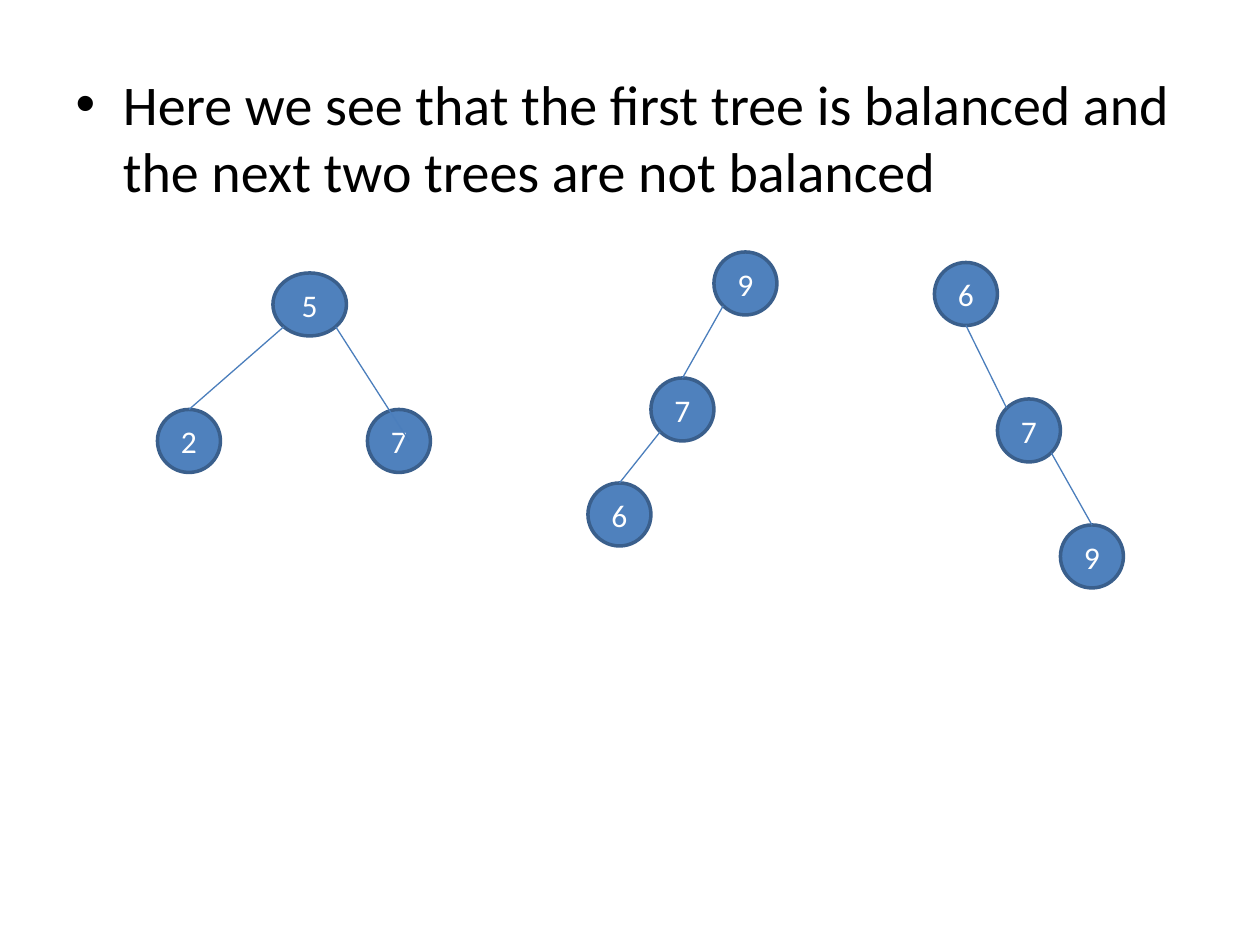
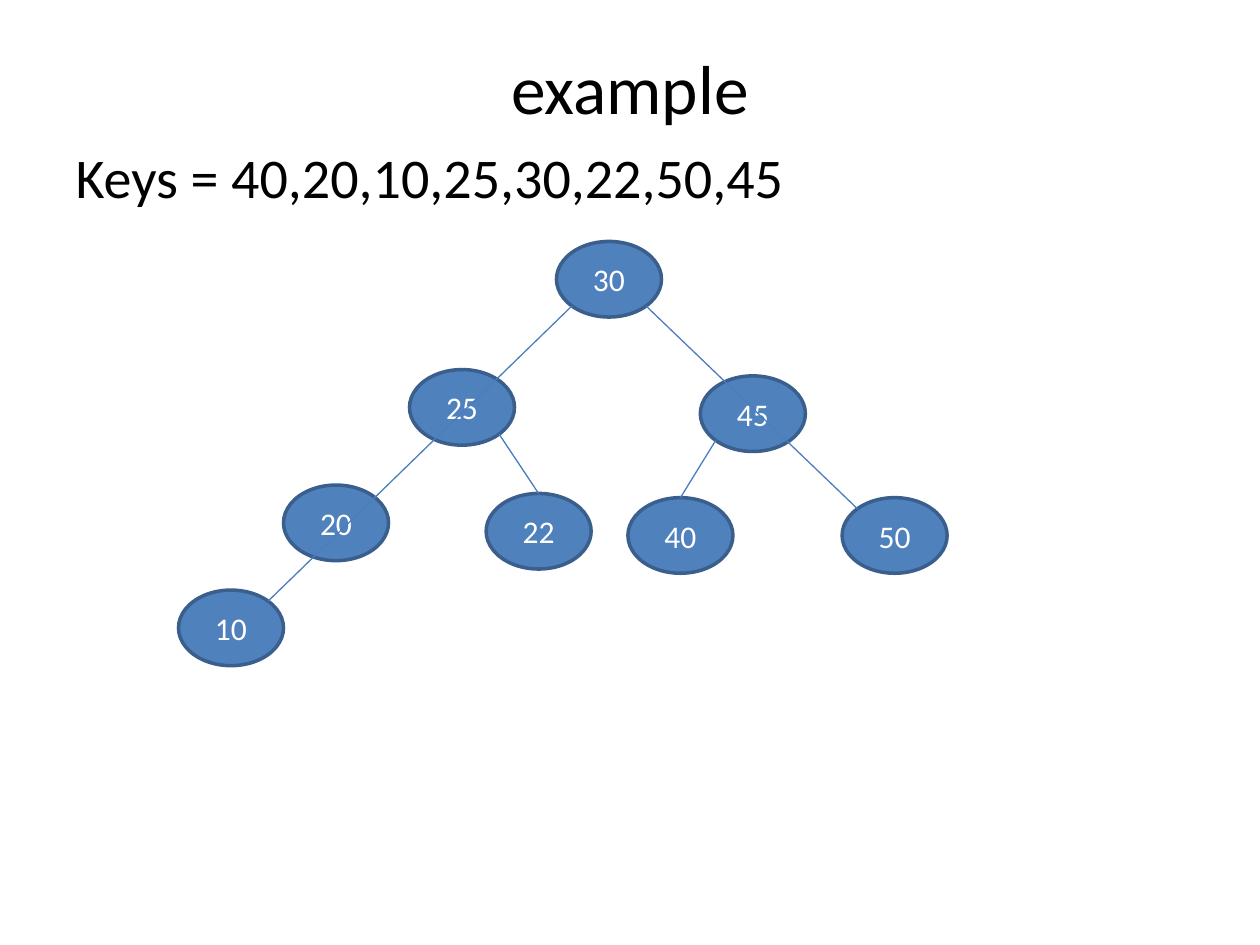
"""Builds two slides that compare balanced and unbalanced binary search trees."""
from dataclasses import dataclass
from math import sqrt

from lxml.etree import SubElement
from pptx import Presentation
from pptx.dml.color import RGBColor
from pptx.enum.shapes import MSO_CONNECTOR as Connector, MSO_SHAPE as Shape
from pptx.enum.text import MSO_ANCHOR as Anchor, PP_ALIGN as Align
from pptx.oxml.ns import qn
from pptx.util import Inches, Pt

SLIDE_WIDTH, SLIDE_HEIGHT = Inches(10), Inches(7.5)
COLUMNS, ROWS = 120, 90
MARGIN, CONTENT_COLUMNS, CONTENT_BOTTOM = 6, 108, 80.4
DIAGONAL = sqrt(0.5) / 2
SITES = {
    "top": (0, -0.5),
    "bottom": (0, 0.5),
    "top left": (-DIAGONAL, -DIAGONAL),
    "top right": (DIAGONAL, -DIAGONAL),
    "bottom left": (-DIAGONAL, DIAGONAL),
    "bottom right": (DIAGONAL, DIAGONAL),
    "inside": (0.16, 0),
}


@dataclass(frozen=True)
class Theme:
    """Colours and type sizes shared by the slides."""
    font: str = "Calibri"
    text: RGBColor = RGBColor(0x00, 0x00, 0x00)
    node_fill: RGBColor = RGBColor(0x4F, 0x81, 0xBD)
    node_line: RGBColor = RGBColor(0x3A, 0x5F, 0x8C)
    node_text: RGBColor = RGBColor(0xFF, 0xFF, 0xFF)
    edge: RGBColor = RGBColor(0x4B, 0x7E, 0xBC)
    title_size: float = 39.6
    body_size: float = 32
    node_size: float = 18
    node_line_width: float = 2
    edge_width: float = 0.75


THEME = Theme()


def across(columns):
    """Return the length of a number of grid columns."""
    return round(SLIDE_WIDTH * columns / COLUMNS)


def down(rows):
    """Return the length of a number of grid rows."""
    return round(SLIDE_HEIGHT * rows / ROWS)


def style_paragraph(paragraph, size, color):
    """Set the font of a whole paragraph."""
    font = paragraph.font
    font.name, font.size, font.color.rgb = THEME.font, Pt(size), color


def fill_placeholder(shape, text, top, bottom, size):
    """Place a placeholder across the content width and write its text."""
    shape.left, shape.top = across(MARGIN), down(top)
    shape.width, shape.height = across(CONTENT_COLUMNS), down(bottom - top)
    shape.text_frame.text = text
    paragraph = shape.text_frame.paragraphs[0]
    paragraph.space_before = Pt(0)
    return paragraph, size


def add_content_slide(presentation, body, body_top, title=None, bulleted=True):
    """Add a slide with body text and, if given, a title."""
    slide = presentation.slides.add_slide(presentation.slide_layouts[1])
    title_shape, body_shape = slide.placeholders
    if title:
        paragraph, size = fill_placeholder(title_shape, title, 3.6, body_top, THEME.title_size)
        style_paragraph(paragraph, size, THEME.text)
    else:
        title_shape.element.getparent().remove(title_shape.element)
    paragraph, size = fill_placeholder(body_shape, body, body_top, CONTENT_BOTTOM, THEME.body_size)
    if not bulleted:
        SubElement(paragraph._p.get_or_add_pPr(), qn("a:buNone"))
    style_paragraph(paragraph, size, THEME.text)
    return slide


def add_node(slide, kind, label, column, row, width, height):
    """Add one tree node with its key."""
    node = slide.shapes.add_shape(kind, across(column), down(row), across(width), down(height))
    node.shadow.inherit = False
    node.fill.solid()
    node.fill.fore_color.rgb = THEME.node_fill
    node.line.color.rgb = THEME.node_line
    node.line.width = Pt(THEME.node_line_width)
    frame = node.text_frame
    frame.text, frame.vertical_anchor = label, Anchor.MIDDLE
    paragraph = frame.paragraphs[0]
    paragraph.alignment = Align.CENTER
    style_paragraph(paragraph, THEME.node_size, THEME.node_text)
    return node


def site_point(node, site):
    """Return the point of a named site on a node."""
    x, y = SITES[site]
    return (round(node.left + node.width * (0.5 + x)),
            round(node.top + node.height * (0.5 + y)))


def add_edge(slide, parent, parent_site, child, child_site):
    """Add a line between sites of two nodes."""
    edge = slide.shapes.add_connector(
        Connector.STRAIGHT, *site_point(parent, parent_site), *site_point(child, child_site))
    edge.line.color.rgb = THEME.edge
    edge.line.width = Pt(THEME.edge_width)
    SubElement(edge._element.spPr, qn("a:effectLst"))


def add_tree(slide, kind, size, places, edges):
    """Add a tree from node places by key and edges between sites."""
    nodes = {}
    for key, (column, row, *own_size) in places.items():
        nodes[key] = add_node(slide, kind, str(key), column, row, *(own_size or size))
    for parent, parent_site, child, child_site in edges:
        add_edge(slide, nodes[parent], parent_site, nodes[child], child_site)


def add_comparison_slide(presentation):
    """Add the slide with one balanced and two unbalanced trees."""
    slide = add_content_slide(
        presentation,
        "Here we see that the first tree is balanced and the next two trees are not balanced",
        body_top=6)
    trees = [
        ({5: (26, 26, 7, 6), 2: (15, 39), 7: (35, 39)},
         [(5, "bottom left", 2, "top"), (5, "bottom right", 7, "inside")]),
        ({9: (68, 24), 6: (56, 46), 7: (62, 36)},
         [(9, "bottom left", 7, "top"), (7, "bottom left", 6, "top")]),
        ({7: (95, 38), 6: (89, 25), 9: (101, 50)},
         [(6, "bottom", 7, "top left"), (7, "bottom right", 9, "top")]),
    ]
    for places, edges in trees:
        add_tree(slide, Shape.FLOWCHART_CONNECTOR, (6, 6), places, edges)


def add_example_slide(presentation):
    """Add the slide with the tree built from a list of keys."""
    slide = add_content_slide(
        presentation, "Keys = 40,20,10,25,30,22,50,45",
        body_top=13, title="example", bulleted=False)
    places = {
        30: (53, 23), 25: (39, 35.2), 45: (66.7, 35.8), 20: (27, 46.2),
        40: (59.8, 47.4), 10: (17, 56.2), 50: (80.2, 47.4), 22: (46.3, 47),
    }
    edges = [
        (30, "bottom right", 50, "top left"),
        (30, "bottom left", 10, "top right"),
        (25, "bottom right", 22, "top"),
        (45, "bottom left", 40, "top"),
    ]
    add_tree(slide, Shape.OVAL, (10, 7.2), places, edges)


def main():
    """Build and save the presentation."""
    presentation = Presentation()
    presentation.slide_width, presentation.slide_height = SLIDE_WIDTH, SLIDE_HEIGHT
    add_comparison_slide(presentation)
    add_example_slide(presentation)
    presentation.save("out.pptx")


if __name__ == "__main__":
    main()
